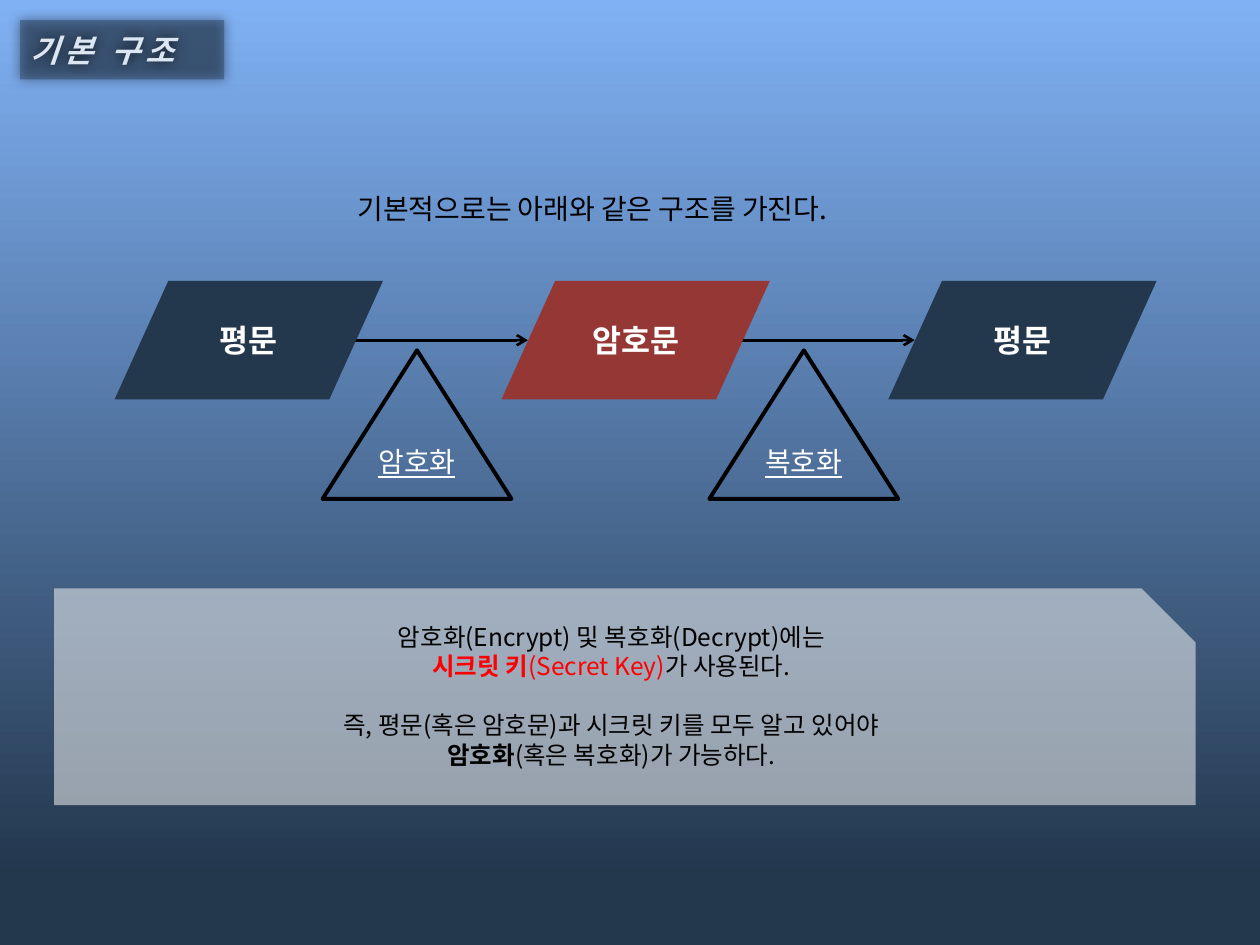
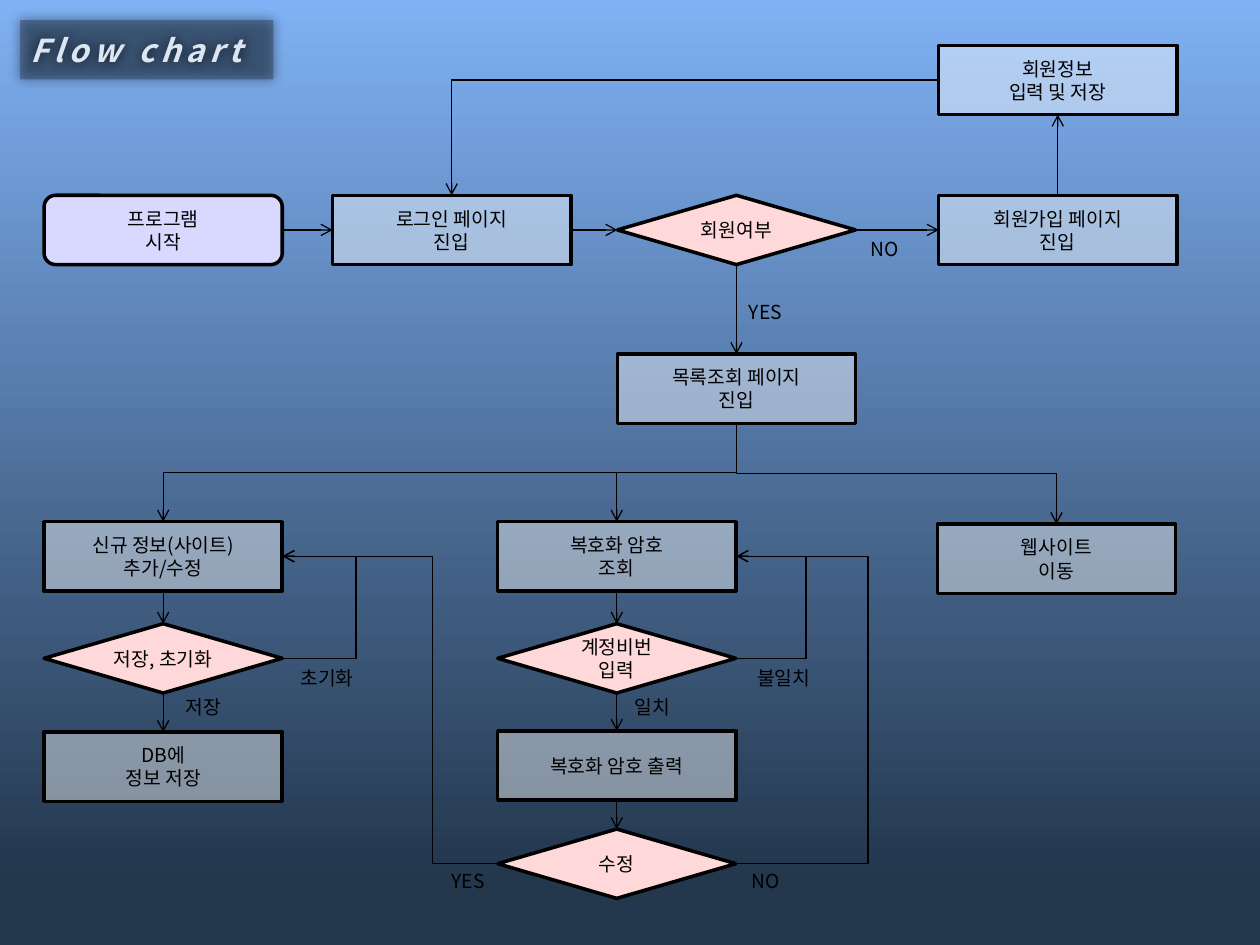
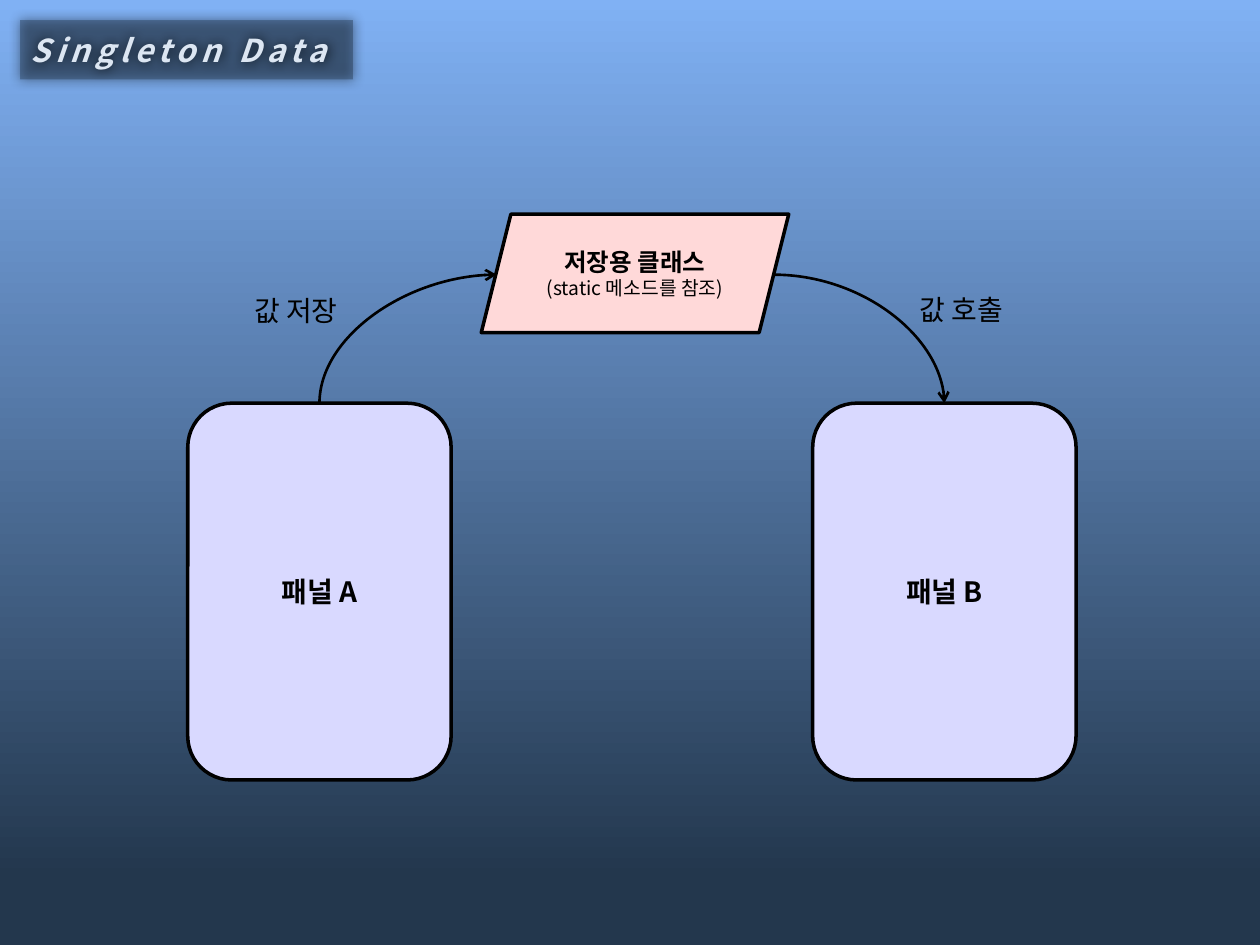
from dataclasses import dataclass
from typing import NamedTuple

from lxml.etree import SubElement
from pptx import Presentation
from pptx.dml.color import RGBColor
from pptx.enum.shapes import MSO_CONNECTOR as Link, MSO_SHAPE as Preset
from pptx.enum.text import MSO_ANCHOR as Anchor, MSO_AUTO_SIZE as AutoSize, PP_ALIGN as Align
from pptx.oxml.ns import qn
from pptx.util import Emu, Inches, Pt

COLORS = {
    "sky": "80B1F4", "navy": "23374D", "title": "DCE6F2", "black": "000000",
    "white": "FFFFFF", "panel": "F2F2F2", "red": "FF0000", "brick": "953735",
    "lilac": "D9D9FF", "pink": "FFD9D9",
}
FONT = "Noto Sans CJK KR"
SLIDE_WIDTH, SLIDE_HEIGHT = Inches(10), Inches(7.5)
COLUMNS, ROWS = 100, 75
TOP, LEFT, BOTTOM, RIGHT = range(4)
NODE_WIDTH, NODE_HEIGHT = 18.9, 5.5
STAGE_TOP, STAGE_STEP, STAGE_LEFT = 22.3, 30.7, 9.1


def across(columns: float) -> Emu:
    return Emu(round(SLIDE_WIDTH * columns / COLUMNS))


def down(rows: float) -> Emu:
    return Emu(round(SLIDE_HEIGHT * rows / ROWS))


class Box(NamedTuple):
    """A place on the slide in grid columns and rows."""
    left: float
    top: float
    width: float
    height: float

    def lengths(self) -> tuple:
        return across(self.left), down(self.top), across(self.width), down(self.height)


@dataclass
class Run:
    text: str
    color: str = "black"
    bold: bool = False
    size: float | None = None


@dataclass
class Look:
    preset: Preset
    fill: str | None = None
    opacity: int = 100
    line_width: float = 0


class Node(NamedTuple):
    look: Look
    left: float
    top: float
    lines: tuple


class Route(NamedTuple):
    """An elbow between two nodes; bend is its first leg in grid columns."""
    start: str
    start_side: int
    end: str
    end_side: int
    bend: float | None = None
    vertical: bool = False
    geometry: str = "bentConnector3"


PROCESS = Look(Preset.RECTANGLE, "white", 43, 2)
DECISION = Look(Preset.DIAMOND, "pink", line_width=2)
START = Look(Preset.ROUNDED_RECTANGLE, "lilac", line_width=2)
TRIANGLE = Look(Preset.ISOSCELES_TRIANGLE, line_width=2.25)

NODES = {
    "start": Node(START, 3.5, 15.5, ("프로그램", "시작")),
    "login": Node(PROCESS, 26.4, 15.5, ("로그인 페이지", "진입")),
    "member": Node(DECISION, 49, 15.5, ("회원여부",)),
    "join": Node(PROCESS, 74.5, 15.5, ("회원가입 페이지", "진입")),
    "profile": Node(PROCESS, 74.5, 3.6, ("회원정보", "입력 및 저장")),
    "list": Node(PROCESS, 49, 28.1, ("목록조회 페이지", "진입")),
    "edit": Node(PROCESS, 3.5, 41.4, ("신규 정보(사이트)", "추가/수정")),
    "decrypt": Node(PROCESS, 39.5, 41.4, ("복호화 암호", "조회")),
    "website": Node(PROCESS, 74.4, 41.6, ("웹사이트", "이동")),
    "save": Node(DECISION, 3.5, 49.5, ("저장, 초기화",)),
    "password": Node(DECISION, 39.5, 49.5, ("계정비번", "입력")),
    "database": Node(PROCESS, 3.5, 58.1, ("DB에", "정보 저장")),
    "output": Node(PROCESS, 39.5, 58, ("복호화 암호 출력",)),
    "modify": Node(DECISION, 39.5, 65.8, ("수정",)),
}
ACROSS_LINKS = [("start", "login"), ("login", "member"), ("member", "join")]
DOWN_LINKS = [("member", "list"), ("edit", "save"), ("save", "database"),
              ("decrypt", "password"), ("password", "output"), ("output", "modify")]
ROUTES = [
    Route("save", RIGHT, "edit", RIGHT, 6),
    Route("password", RIGHT, "decrypt", RIGHT, 5.7),
    Route("modify", RIGHT, "decrypt", RIGHT, 10.7),
    Route("modify", LEFT, "edit", RIGHT, 5.2),
    Route("profile", LEFT, "login", TOP, geometry="bentConnector2"),
    *(Route("list", BOTTOM, page, TOP, vertical=True)
      for page in ("edit", "decrypt", "website")),
]
FLOW_LABELS = [
    ("YES", 58.4, 23.3, 4.7), ("NO", 67.9, 18.3, 4.7), ("저장", 13, 54.7, 6.3),
    ("일치", 48.9, 54.7, 5.7), ("불일치", 58.6, 52.4, 7.2), ("YES", 34.8, 68.5, 4.7),
    ("NO", 58.4, 68.5, 4.7), ("초기화", 22.4, 52.4, 7.1),
]


def rgb(name: str) -> RGBColor:
    return RGBColor.from_string(COLORS[name])


def paint(shape, look: Look) -> None:
    if look.fill:
        shape.fill.solid()
        shape.fill.fore_color.rgb = rgb(look.fill)
        if look.opacity < 100:
            color = shape.element.spPr.find(".//" + qn("a:srgbClr"))
            SubElement(color, qn("a:alpha"), val=str(look.opacity * 1000))
    else:
        shape.fill.background()
    if look.line_width:
        shape.line.color.rgb = rgb("black")
        shape.line.width = Pt(look.line_width)
    else:
        shape.line.fill.background()


def add_run(paragraph, run: Run, size: float):
    text_run = paragraph.add_run()
    text_run.text = run.text
    font = text_run.font
    font.size = Pt(run.size or size)
    font.bold = run.bold
    font.name = FONT
    SubElement(font._element, qn("a:ea"), typeface=FONT)
    font.color.rgb = rgb(run.color)
    return text_run


def write(shape, lines: list, size: float, align=Align.CENTER) -> None:
    """Fill a shape with lines, each of them a list of runs."""
    frame = shape.text_frame
    for index, runs in enumerate(lines):
        paragraph = frame.add_paragraph() if index else frame.paragraphs[0]
        paragraph.alignment = align
        for run in runs:
            add_run(paragraph, run, size)


def add_block(slide, look: Look, box: Box, lines: list, size: float):
    shape = slide.shapes.add_shape(look.preset, *box.lengths())
    shape.shadow.inherit = False
    paint(shape, look)
    shape.text_frame.word_wrap = True
    shape.text_frame.vertical_anchor = Anchor.MIDDLE
    write(shape, lines, size)
    return shape


def add_label(slide, text: str, box: Box, size: float, wrap: bool = False) -> None:
    label = slide.shapes.add_textbox(*box.lengths())
    label.text_frame.word_wrap = wrap
    write(label, [[Run(text)]], size, Align.CENTER if wrap else Align.LEFT)


def add_arrow(slide, kind: Link, width: float, begin=(0, 0), end=(0, 0)):
    arrow = slide.shapes.add_connector(
        kind, across(begin[0]), down(begin[1]), across(end[0]), down(end[1]))
    arrow.line.color.rgb = rgb("black")
    arrow.line.width = Pt(width)
    SubElement(arrow.line._get_or_add_ln(), qn("a:tailEnd"), type="arrow")
    SubElement(arrow.element.spPr, qn("a:effectLst"))
    return arrow


def join(slide, start, start_side: int, end, end_side: int, kind=Link.STRAIGHT):
    arrow = add_arrow(slide, kind, 0.75)
    arrow.begin_connect(start, start_side)
    arrow.end_connect(end, end_side)
    return arrow


def steer(arrow, geometry: str, vertical: bool = False, bend: float | None = None) -> None:
    """Set the first leg's direction and length, keeping both ends in place."""
    run_x, run_y = arrow.end_x - arrow.begin_x, arrow.end_y - arrow.begin_y
    middle_x = (arrow.begin_x + arrow.end_x) / 2
    middle_y = (arrow.begin_y + arrow.end_y) / 2
    first, second = (run_y, run_x) if vertical else (run_x, run_y)
    width, height = max(abs(first), across(0.1)), abs(second)
    transform = arrow.element.spPr.xfrm
    transform.flipH = first < 0
    transform.flipV = second > 0 if vertical else second < 0
    transform.rot = 90 if vertical else 0
    arrow.left, arrow.top = Emu(round(middle_x - width / 2)), Emu(round(middle_y - height / 2))
    arrow.width, arrow.height = Emu(width), Emu(height)
    preset = arrow.element.spPr.find(qn("a:prstGeom"))
    preset.set("prst", geometry)
    if bend is not None:
        share = round(across(bend) / width * 100000)
        guides = preset.find(qn("a:avLst"))
        SubElement(guides, qn("a:gd"), name="adj1", fmla=f"val {share}")


def add_titled_slide(presentation, text: str, width: float):
    slide = presentation.slides.add_slide(presentation.slide_layouts[5])
    title = slide.shapes.title
    title.left, title.top, title.width, title.height = Box(1.6, 1.6, width, 4.7).lengths()
    paint(title, Look(Preset.RECTANGLE, "navy", 41))
    effects = SubElement(title.element.spPr, qn("a:effectLst"))
    shadow = SubElement(effects, qn("a:outerShdw"), blurRad=str(Pt(7)), dist="0",
                        dir=str(123 * 60000), rotWithShape="0")
    SubElement(shadow, qn("a:srgbClr"), val=COLORS["black"])
    frame = title.text_frame
    frame.auto_size = AutoSize.NONE
    frame.word_wrap = True
    frame.vertical_anchor = Anchor.MIDDLE
    frame.margin_left, frame.margin_right = Inches(0.08), Inches(0.1)
    frame.paragraphs[0].alignment = Align.LEFT
    run = add_run(frame.paragraphs[0], Run(text, "title", True), 18)
    run.font.italic = True
    run.font._element.set("spc", "300")
    return slide


def set_background(presentation) -> None:
    fill = presentation.slide_master.background.fill
    fill.gradient()
    fill.gradient_angle = 270
    for stop, color, position in zip(fill.gradient_stops, ("sky", "navy"), (0, 0.93)):
        stop.color.rgb = rgb(color)
        stop.position = position


def build_structure(presentation) -> None:
    slide = add_titled_slide(presentation, "기본 구조", 16.2)
    note = add_block(slide, Look(Preset.SNIP_1_RECTANGLE, "panel", 55),
                     Box(4.3, 46.7, 90.6, 17.2), [
        [Run("암호화(Encrypt) 및 복호화(Decrypt)에는")],
        [Run("시크릿 키", "red", True), Run("(Secret Key)", "red"), Run("가 사용된다.")],
        [Run("즉, 평문(혹은 암호문)과 시크릿 키를 모두 알고 있어야")],
        [Run("암호화", bold=True), Run("(혹은 복호화)가 가능하다.")],
    ], 14)
    note.adjustments[0] = 0.25
    note.text_frame.vertical_anchor = Anchor.TOP
    note.text_frame.paragraphs[2].space_before = Pt(17)

    for index, text in enumerate(("암호화", "복호화")):
        shift = index * STAGE_STEP
        add_arrow(slide, Link.STRAIGHT, 1.5, (28.2 + shift, 27), (41.9 + shift, 27))
        triangle = add_block(slide, TRIANGLE, Box(25.6 + shift, 27.8, 15, 11.8),
                             [[Run(text, "white")]], 16)
        frame = triangle.text_frame
        frame.word_wrap = False
        frame.margin_left = frame.margin_right = frame.margin_top = frame.margin_bottom = 0
        frame.paragraphs[0].runs[0].font.underline = True

    stages = (("평문", "navy"), ("암호문", "brick"), ("평문", "navy"))
    for index, (text, color) in enumerate(stages):
        add_block(slide, Look(Preset.FLOWCHART_DATA, color),
                  Box(STAGE_LEFT + index * STAGE_STEP, STAGE_TOP, 21.3, 9.4),
                  [[Run(text, "white", True)]], 18)
    add_label(slide, "기본적으로는 아래와 같은 구조를 가진다.", Box(27.4, 14.7, 43.8, 3.7), 16)


def build_flow_chart(presentation) -> None:
    slide = add_titled_slide(presentation, "Flow chart", 20.1)
    shapes = {
        name: add_block(slide, node.look, Box(node.left, node.top, NODE_WIDTH, NODE_HEIGHT),
                        [[Run(line)] for line in node.lines], 11)
        for name, node in NODES.items()
    }
    shapes["save"].text_frame.margin_left = Inches(0.04)
    shapes["save"].text_frame.margin_right = Inches(0.04)
    for start, end in ACROSS_LINKS:
        join(slide, shapes[start], RIGHT, shapes[end], LEFT)
    for start, end in DOWN_LINKS:
        join(slide, shapes[start], BOTTOM, shapes[end], TOP)
    join(slide, shapes["join"], TOP, shapes["profile"], BOTTOM)
    for route in ROUTES:
        arrow = join(slide, shapes[route.start], route.start_side,
                     shapes[route.end], route.end_side, Link.ELBOW)
        steer(arrow, route.geometry, route.vertical, route.bend)
    for text, left, top, width in FLOW_LABELS:
        add_label(slide, text, Box(left, top, width, 2.9), 11, wrap=True)


def build_singleton(presentation) -> None:
    slide = add_titled_slide(presentation, "Singleton Data", 26.4)
    panel_a, panel_b = (
        add_block(slide, START, Box(left, 32, 20.9, 29.9), [[Run(text, bold=True)]], 16)
        for text, left in (("패널 A", 14.9), ("패널 B", 64.5))
    )
    add_block(slide, Look(Preset.PARALLELOGRAM, "pink", line_width=2),
              Box(38.2, 17, 24.4, 9.4),
              [[Run("저장용 클래스", bold=True)], [Run("(static 메소드를 참조)", size=11)]], 14)
    store = add_arrow(slide, Link.CURVE, 1.5, end=(39.4, 21.8))
    store.begin_connect(panel_a, TOP)
    steer(store, "curvedConnector2", vertical=True)
    call = add_arrow(slide, Link.CURVE, 1.5, begin=(61.4, 21.8))
    call.end_connect(panel_b, TOP)
    steer(call, "curvedConnector2")
    add_label(slide, "값 저장", Box(19.2, 22.8, 9.5, 3.7), 16)
    add_label(slide, "값 호출", Box(72, 22.7, 9.5, 3.7), 16)


def main() -> None:
    presentation = Presentation()
    presentation.slide_width, presentation.slide_height = SLIDE_WIDTH, SLIDE_HEIGHT
    set_background(presentation)
    build_structure(presentation)
    build_flow_chart(presentation)
    build_singleton(presentation)
    presentation.save("out.pptx")


if __name__ == "__main__":
    main()
